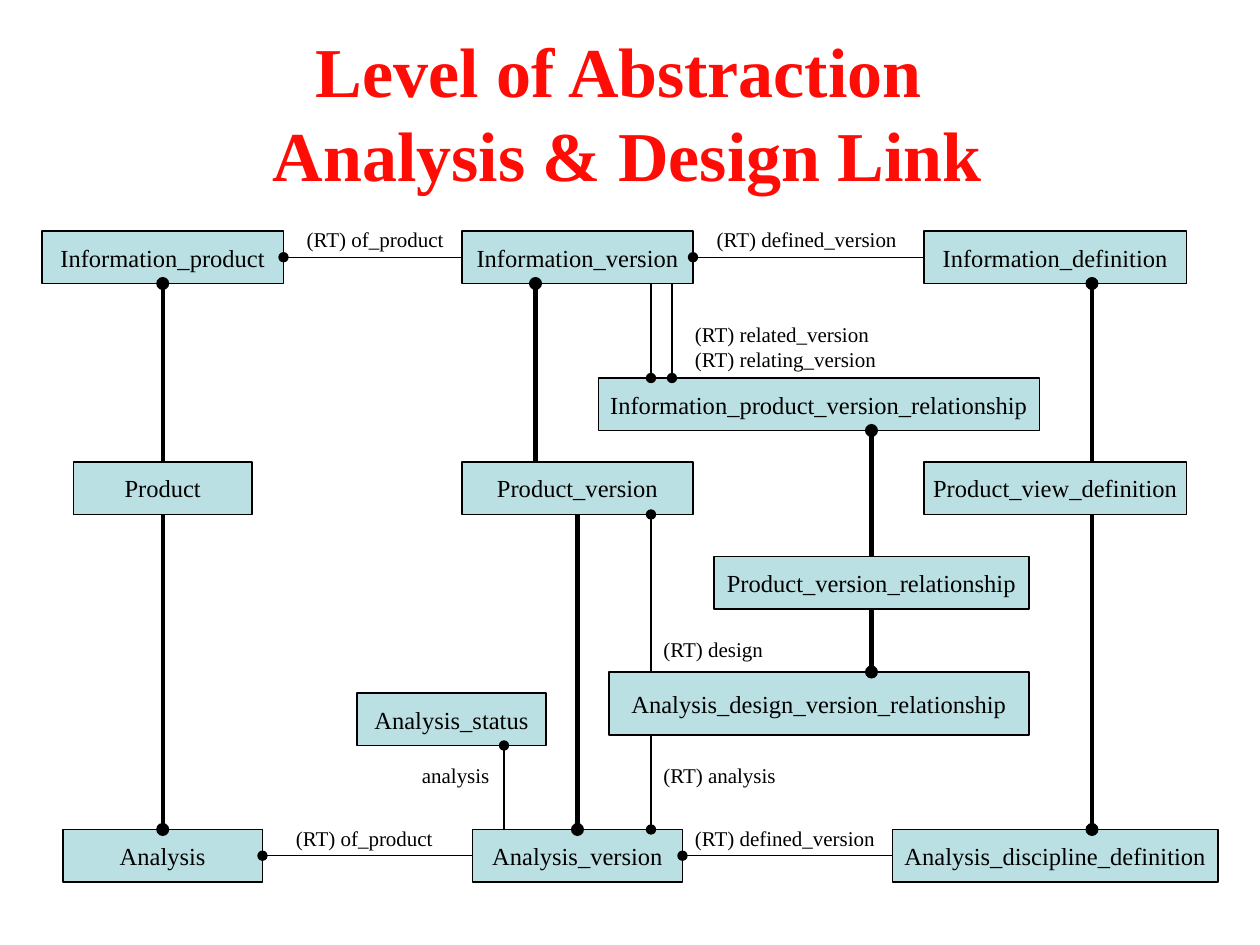
"""Build the slide that links analysis and design at each level of abstraction."""

from typing import NamedTuple

from lxml.etree import SubElement
from pptx import Presentation
from pptx.dml.color import RGBColor
from pptx.enum.shapes import MSO_CONNECTOR, MSO_SHAPE
from pptx.enum.text import MSO_ANCHOR, MSO_AUTO_SIZE, PP_ALIGN
from pptx.oxml.ns import qn
from pptx.slide import Slide
from pptx.text.text import TextFrame
from pptx.util import Pt

FONT = "Times New Roman"
BLACK = RGBColor(0x00, 0x00, 0x00)
RED = RGBColor(0xFF, 0x0C, 0x06)
PALE_TEAL = RGBColor(0xBB, 0xE0, 0xE3)
THIN, THICK = 0.75, 2.5

INFO_Y, PRODUCT_Y, ANALYSIS_Y = 132, 264, 474
BOX_H = 30
INFO_BOTTOM, PRODUCT_BOTTOM = INFO_Y + BOX_H, PRODUCT_Y + BOX_H
INFO_MID, ANALYSIS_MID = INFO_Y + BOX_H / 2, ANALYSIS_Y + BOX_H / 2
PRODUCT_X, VERSION_X, DEFINITION_X = 93, 264, 528
VIEW_X, RELATION_X, LINK_X = 624, 498, 372


class Entity(NamedTuple):
    name: str
    x: float
    y: float
    w: float
    h: float = BOX_H


class Link(NamedTuple):
    x1: float
    y1: float
    x2: float
    y2: float
    weight: float = THIN


class Label(NamedTuple):
    text: str
    x: float
    y: float
    w: float
    h: float = 21.6


ENTITIES = [
    Entity("Information_product", 24, INFO_Y, 138),
    Entity("Information_version", VERSION_X, INFO_Y, 132),
    Entity("Information_definition", DEFINITION_X, INFO_Y, 150),
    Entity("Product", 42, PRODUCT_Y, 102),
    Entity("Product_version", VERSION_X, PRODUCT_Y, 132),
    Entity("Product_view_definition", DEFINITION_X, PRODUCT_Y, 150),
    Entity("Analysis", 36, ANALYSIS_Y, 114),
    Entity("Analysis_version", 270, ANALYSIS_Y, 120),
    Entity("Analysis_discipline_definition", 510, ANALYSIS_Y, 186),
    Entity("Analysis_status", 204, 396, 108),
    Entity("Information_product_version_relationship", 342, 216, 252),
    Entity("Product_version_relationship", 408, 318, 180),
    Entity("Analysis_design_version_relationship", 348, 384, 240, 36),
]

LINKS = [
    *(Link(x, PRODUCT_Y, x, INFO_BOTTOM, THICK) for x in (PRODUCT_X, 306, VIEW_X)),
    *(Link(x, PRODUCT_BOTTOM, x, ANALYSIS_Y, THICK) for x in (PRODUCT_X, 330, VIEW_X)),
    Link(RELATION_X, 318, RELATION_X, 246, THICK),
    Link(RELATION_X, 348, RELATION_X, 384, THICK),
    Link(264, INFO_MID, 162, INFO_MID),
    Link(528, INFO_MID, 396, INFO_MID),
    Link(270, ANALYSIS_MID, 150, ANALYSIS_MID),
    Link(510, ANALYSIS_MID, 390, ANALYSIS_MID),
    *(Link(x, INFO_BOTTOM, x, 216) for x in (LINK_X, 384)),
    Link(LINK_X, 384, LINK_X, PRODUCT_BOTTOM),
    Link(LINK_X, 420, LINK_X, ANALYSIS_Y),
    Link(288, ANALYSIS_Y, 288, 426),
]

LABELS = [
    Label("(RT) of_product", 168.2, 126, 94),
    Label("(RT) defined_version", 402.5, 126, 119),
    Label("(RT) of_product", 162, 468, 94),
    Label("(RT) defined_version", 390, 468, 119),
    Label("(RT) related_version\n(RT) relating_version", 390, 180, 120, 36),
    Label("(RT) design", LINK_X, 360, 73),
    Label("(RT) analysis", LINK_X, 432, 80),
    Label("analysis", 234, 432, 54),
]

TITLE = Label("Level of Abstraction \nAnalysis & Design Link", 148.5, 12, 420, 104)


def write(tf: TextFrame, text: str, size: float, color: RGBColor = BLACK,
          align: PP_ALIGN = PP_ALIGN.LEFT, bold: bool = False) -> None:
    """Set the text of a frame and format every run."""
    tf.text = text
    tf.word_wrap = False
    for p in tf.paragraphs:
        p.alignment = align
        for r in p.runs:
            r.font.name = FONT
            r.font.size = Pt(size)
            r.font.bold = bold
            r.font.color.rgb = color


def draw_entity(s: Slide, entity: Entity) -> None:
    """Draw a named box."""
    sp = s.shapes.add_shape(MSO_SHAPE.RECTANGLE, Pt(entity.x), Pt(entity.y),
                            Pt(entity.w), Pt(entity.h))
    sp.shadow.inherit = False
    sp.fill.solid()
    sp.fill.fore_color.rgb = PALE_TEAL
    sp.line.color.rgb = BLACK
    sp.line.width = Pt(THIN)
    sp.text_frame.vertical_anchor = MSO_ANCHOR.MIDDLE
    write(sp.text_frame, entity.name, 14, align=PP_ALIGN.CENTER)


def draw_link(s: Slide, link: Link) -> None:
    """Draw a line that ends in a round dot."""
    cxn = s.shapes.add_connector(MSO_CONNECTOR.STRAIGHT, Pt(link.x1), Pt(link.y1),
                                 Pt(link.x2), Pt(link.y2))
    cxn.line.color.rgb = BLACK
    cxn.line.width = Pt(link.weight)
    SubElement(cxn.line._get_or_add_ln(), qn("a:tailEnd"), type="oval")
    SubElement(cxn._element.spPr, qn("a:effectLst"))


def draw_label(s: Slide, label: Label, size: float = 12, color: RGBColor = BLACK,
               align: PP_ALIGN = PP_ALIGN.LEFT, bold: bool = False) -> None:
    """Draw free text that fits its frame."""
    sp = s.shapes.add_textbox(Pt(label.x), Pt(label.y), Pt(label.w), Pt(label.h))
    write(sp.text_frame, label.text, size, color, align, bold)
    sp.text_frame.auto_size = MSO_AUTO_SIZE.SHAPE_TO_FIT_TEXT


def main() -> None:
    """Build and save the slide."""
    prs = Presentation()
    prs.slide_width, prs.slide_height = Pt(720), Pt(540)
    s = prs.slides.add_slide(prs.slide_layouts[6])
    draw_label(s, TITLE, 40, RED, PP_ALIGN.CENTER, bold=True)
    for entity in ENTITIES:
        draw_entity(s, entity)
    for link in LINKS:
        draw_link(s, link)
    for label in LABELS:
        draw_label(s, label)
    prs.save("out.pptx")


if __name__ == "__main__":
    main()
